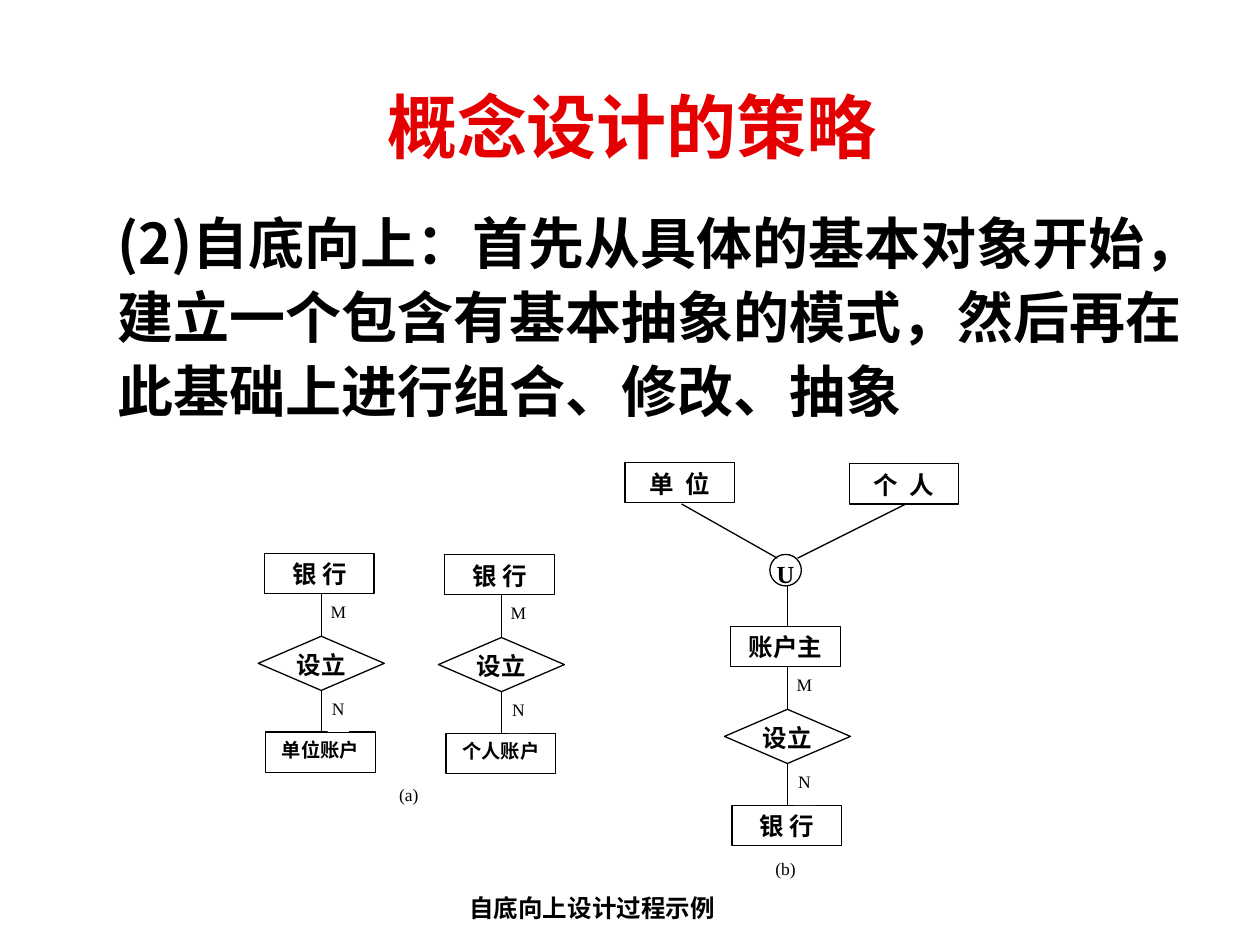
from lxml.etree import SubElement
from pptx import Presentation
from pptx.dml.color import RGBColor
from pptx.enum.shapes import MSO_CONNECTOR, MSO_SHAPE
from pptx.enum.text import MSO_ANCHOR, MSO_AUTO_SIZE, PP_ALIGN
from pptx.oxml.ns import qn
from pptx.util import Inches, Pt

# Content
TITLE = "概念设计的策略"
BODY = ("(2)自底向上：首先从具体的基本对象开始，建立一个包含有基本抽象的模式，"
        "然后再在此基础上进行组合、修改、抽象")
# Entity-relationship columns: left, top, upper entity, lower entity, lower size
COLUMNS = [
    (2.1, 4.39, "银 行", "单位账户", 11),
    (3.53, 4.4, "银 行", "个人账户", 11),
    (5.8, 4.97, "账户主", "银 行", 14),
]
# Entities merged by the union: left, top, text
SOURCES = [(4.96, 3.67, "单 位"), (6.74, 3.68, "个 人")]
# Captions: left, top, width, text, format
CAPTIONS = [
    (3.06, 6.22, 0.37, "(a)", {"size": Pt(10)}),
    (6.05, 6.81, 0.37, "(b)", {"size": Pt(10)}),
    (3.23, 7.09, 2.94, "自底向上设计过程示例", {"size": Pt(14), "bold": True}),
]

COLORS = {"title": "E40000", "ink": "000000", "paper": "FFFFFF"}
CJK = "Noto Sans CJK SC"
SERIF = "Times New Roman"
BOX_W, BOX_H = 0.87, 0.32
AXIS = 0.45          # line position from an entity's left edge
LABEL_W, LABEL_H = 0.17, 0.27

prs = Presentation()
prs.slide_width, prs.slide_height = Inches(10), Inches(7.5)
s = prs.slides.add_slide(prs.slide_layouts[1])


def color(name):
    return RGBColor.from_string(COLORS[name])


def write(sp, text, fmt, margins, font=SERIF, ink="ink",
          align=PP_ALIGN.CENTER, anchor=MSO_ANCHOR.TOP, spacing=0):
    tf = sp.text_frame
    frame = {"word_wrap": True, "auto_size": MSO_AUTO_SIZE.NONE,
             "vertical_anchor": anchor,
             "margin_left": Inches(margins[0]), "margin_right": Inches(margins[0]),
             "margin_top": Inches(margins[1]), "margin_bottom": Inches(margins[1])}
    for key, value in frame.items():
        setattr(tf, key, value)
    p = tf.paragraphs[0]
    p.alignment, p.space_before = align, Pt(0)
    r = p.add_run()
    r.text = text
    for key, value in {"name": font, "bold": False, **fmt}.items():
        setattr(r.font, key, value)
    r.font.color.rgb = color(ink)
    rpr = r.font._element
    SubElement(rpr, qn("a:ea")).set("typeface", CJK)
    if spacing:
        rpr.set("spc", str(spacing))
    return p


def shape(kind, x, y, w, h, text, fmt, margins=(0, 0), outlined=True, spacing=0):
    sp = s.shapes.add_shape(kind, Inches(x), Inches(y), Inches(w), Inches(h))
    sp.shadow.inherit = False
    sp.fill.solid()
    sp.fill.fore_color.rgb = color("paper")
    if outlined:
        sp.line.color.rgb = color("ink")
        sp.line.width = Pt(0.75)
    else:
        sp.line.fill.background()
    write(sp, text, fmt, margins, spacing=spacing)


def entity(x, y, text, size=14, spacing=0):
    shape(MSO_SHAPE.RECTANGLE, x, y, BOX_W, BOX_H, text,
          {"size": Pt(size), "bold": True}, (0.1, 0.05), spacing=spacing)


def label(x, y, w, text, fmt):
    shape(MSO_SHAPE.RECTANGLE, x, y, w, LABEL_H, text, fmt, outlined=False)


def line(x1, y1, x2, y2):
    c = s.shapes.add_connector(MSO_CONNECTOR.STRAIGHT, Inches(x1), Inches(y1),
                               Inches(x2), Inches(y2))
    c.line.color.rgb = color("ink")
    c.line.width = Pt(0.75)
    SubElement(c._element.spPr, qn("a:effectLst"))


def place(sp, x, y, w, h):
    sp.left, sp.top, sp.width, sp.height = map(Inches, (x, y, w, h))


# Title and body
title, body = s.shapes.title, s.placeholders[1]
place(title, 1.14, 0.6, 7.75, 0.8)
write(title, TITLE, {"size": Pt(40), "bold": True}, (0.1, 0.05), "Arial", "title",
      anchor=MSO_ANCHOR.MIDDLE)
place(body, 0.83, 1.55, 8.82, 5.15)
p = write(body, BODY, {"size": Pt(32), "bold": True}, (0.1, 0.05), CJK,
          align=PP_ALIGN.LEFT)
p.line_spacing = 1.1
ppr = p._p.get_or_add_pPr()
ppr.set("marL", "0")
ppr.set("indent", "0")
SubElement(ppr, qn("a:buNone"))

# Entity - relationship - entity columns
bold14 = {"size": Pt(14), "bold": True}
for x, y, upper, lower, size in COLUMNS:
    entity(x, y, upper)
    shape(MSO_SHAPE.DIAMOND, x - 0.05, y + 0.66, 1, 0.43, "设立", bold14)
    entity(x + 0.01, y + 1.42, lower, size)
    for text, start, end in (("M", 0.32, 0.66), ("N", 1.09, 1.42)):
        line(x + AXIS, y + start, x + AXIS, y + end)
        label(x + 0.5, y + start + 0.06, LABEL_W, text, {"size": Pt(10)})

# Union of the two source entities
union_x, union_y, union_d = 6.11, 4.4, 0.25
shape(MSO_SHAPE.OVAL, union_x, union_y, union_d, union_d, "U", bold14)
for (x, y, text), end in zip(SOURCES, (6.17, 6.33)):
    entity(x, y, text, spacing=175)
    line(x + AXIS, 4, end, 4.43)
line(6.25, union_y + union_d, 6.25, 4.97)

# Captions
for x, y, w, text, fmt in CAPTIONS:
    label(x, y, w, text, fmt)

prs.save("out.pptx")
